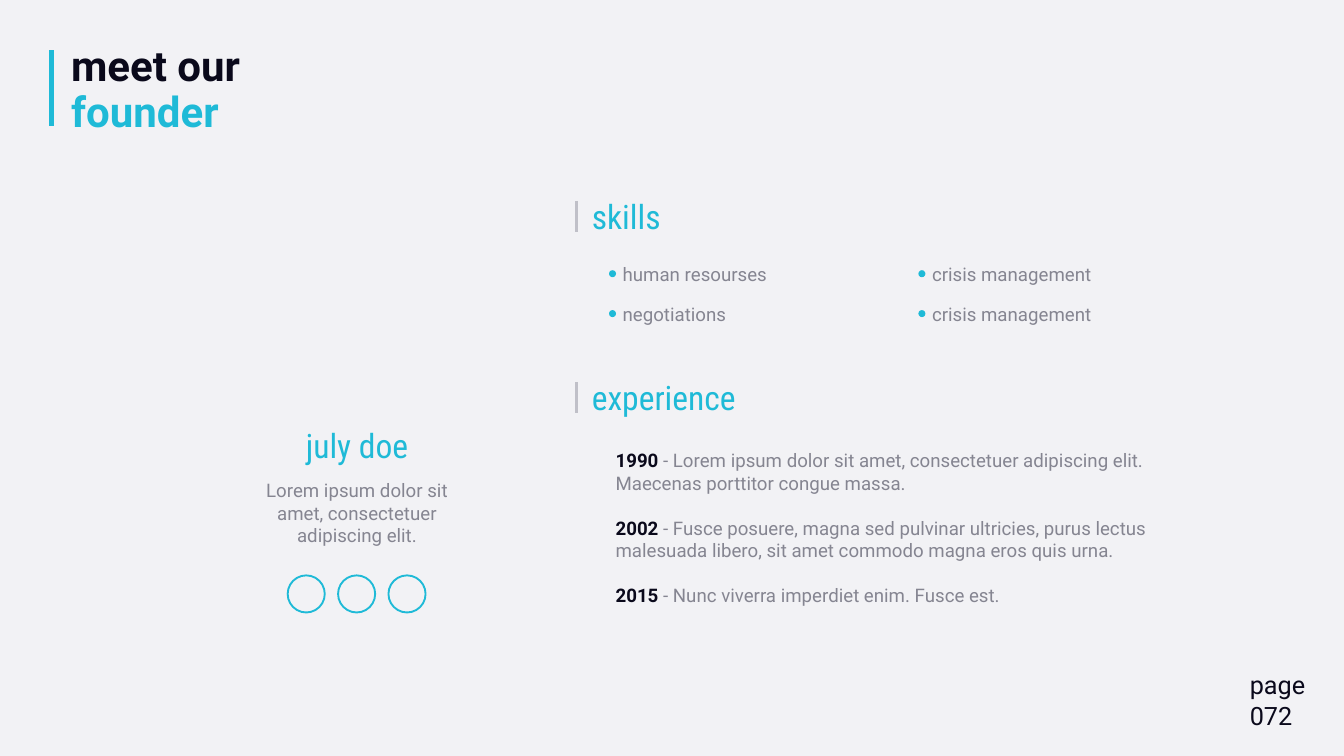
from pptx import Presentation
from pptx.dml.color import RGBColor as RGB
from pptx.enum.shapes import MSO_CONNECTOR as Conn, MSO_SHAPE as Shape
from pptx.enum.text import MSO_ANCHOR as Anchor, MSO_AUTO_SIZE as Auto, PP_ALIGN as Align
from pptx.oxml.ns import qn
from pptx.util import Emu, Pt
from lxml import etree

PX = 9525  # EMU in one px, 96 px to the inch
PAPER = RGB(0xF2, 0xF2, 0xF5)
CYAN = RGB(0x1F, 0xBA, 0xD7)
INK = RGB(0x0A, 0x09, 0x1B)
GRAY = RGB(0x85, 0x85, 0x91)
RULE = RGB(0xC0, 0xC0, 0xC8)
BODY = "Roboto"
HEAD = "Roboto Condensed"


def px(*nums):
    return [Emu(n * PX) for n in nums]


class Deck:
    def __init__(self, wide, high):
        self.prs = Presentation()
        self.prs.slide_width, self.prs.slide_height = px(wide, high)
        self.slide = self.prs.slides.add_slide(self.prs.slide_layouts[5])
        fill = self.slide.background.fill
        fill.solid()
        fill.fore_color.rgb = PAPER

    def style(self, font, size, color, face=BODY, bold=False):
        font.name, font.size, font.bold = face, Pt(size), bold
        font.color.rgb = color

    def title(self, box, first, second):
        shape = self.slide.shapes.title
        shape.left, shape.top, shape.width, shape.height = px(*box)
        frame = shape.text_frame
        frame.auto_size = Auto.NONE
        frame.vertical_anchor = Anchor.TOP
        para = frame.paragraphs[0]
        para.alignment = Align.LEFT
        para.line_spacing = 0.9
        self.style(para.font, 45, INK, bold=True)
        run = para.add_run()
        run.text = first
        self.style(run.font, 45, INK, bold=True)
        para.add_line_break()
        run = para.add_run()
        run.text = second
        self.style(run.font, 45, CYAN, bold=True)

    def frame(self, box):
        frame = self.slide.shapes.add_textbox(*px(*box)).text_frame
        frame.word_wrap = True
        return frame

    def text(self, box, words, size=20, color=GRAY, face=BODY, align=Align.LEFT):
        frame = self.frame(box)
        frame.text = words
        for para in frame.paragraphs:
            para.alignment = align
            self.style(para.font, size, color, face)

    def jobs(self, box, rows, gap):
        frame = self.frame(box)
        for i, (year, note) in enumerate(rows):
            para = frame.add_paragraph() if i else frame.paragraphs[0]
            if i:
                para.space_before = Pt(gap)
            for words, color, bold in ((year, INK, True), (f" - {note}", GRAY, False)):
                run = para.add_run()
                run.text = words
                self.style(run.font, 20, color, bold=bold)

    def bar(self, x, top, end, color, width):
        line = self.slide.shapes.add_connector(Conn.STRAIGHT, *px(x, top, x, end))
        line.line.color.rgb = color
        line.line.width = Pt(width)
        etree.SubElement(line._element.spPr, qn("a:effectLst"))

    def head(self, x, y, words):
        self.text((x, y, 370, 68), words, 36, CYAN, HEAD)
        self.bar(x - 12, y + 12, y + 56, RULE, 3)

    def dot(self, x, y, size):
        shape = self.slide.shapes.add_shape(Shape.OVAL, *px(x, y, size, size))
        shape.shadow.inherit = False
        shape.fill.solid()
        shape.fill.fore_color.rgb = CYAN
        shape.line.fill.background()

    def ring(self, x, y, size):
        shape = self.slide.shapes.add_shape(Shape.OVAL, *px(x, y, size, size))
        shape.shadow.inherit = False
        shape.fill.background()
        shape.line.color.rgb = CYAN
        shape.line.width = Pt(2)


def main():
    deck = Deck(1920, 1080)

    # Title and page number
    deck.bar(74, 72, 180, CYAN, 5)
    deck.title((92, 60, 572, 140), "meet our", "founder")
    deck.text((1776, 952, 140, 100), "page\n072", 27, INK)

    # Founder, with plain rings for the social links
    deck.text((358, 602, 304, 68), "july doe", 36, CYAN, HEAD, Align.CENTER)
    deck.text((358, 680, 304, 107),
              "Lorem ipsum dolor sit amet, consectetuer adipiscing elit.",
              align=Align.CENTER)
    for i in range(3):
        deck.ring(411 + 72 * i, 822, 53)

    # Skills in two columns
    deck.head(836, 275, "skills")
    skills = (("human resourses", "crisis management"),
              ("negotiations", "crisis management"))
    for i, row in enumerate(skills):
        for j, skill in enumerate(row):
            x, y = 880 + 442 * j, 371 + 57 * i
            deck.text((x, y, 403, 42), skill)
            deck.dot(x - 10, y + 15, 10)

    # Experience by year
    deck.head(836, 534, "experience")
    deck.jobs((870, 637, 855, 236), (
        ("1990", "Lorem ipsum dolor sit amet, consectetuer adipiscing elit. "
                 "Maecenas porttitor congue massa."),
        ("2002", "Fusce posuere, magna sed pulvinar ultricies, purus lectus "
                 "malesuada libero, sit amet commodo magna eros quis urna."),
        ("2015", "Nunc viverra imperdiet enim. Fusce est."),
    ), 24)

    deck.prs.save("out.pptx")


if __name__ == "__main__":
    main()
